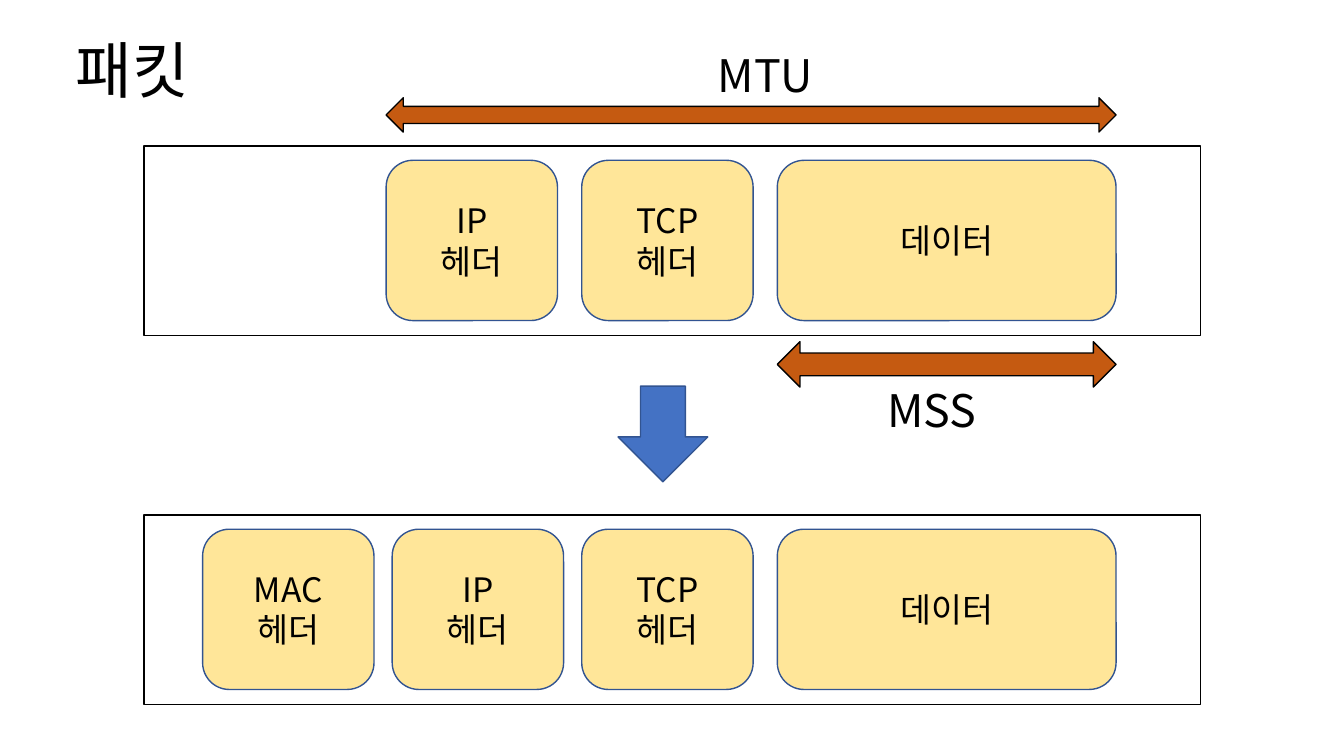
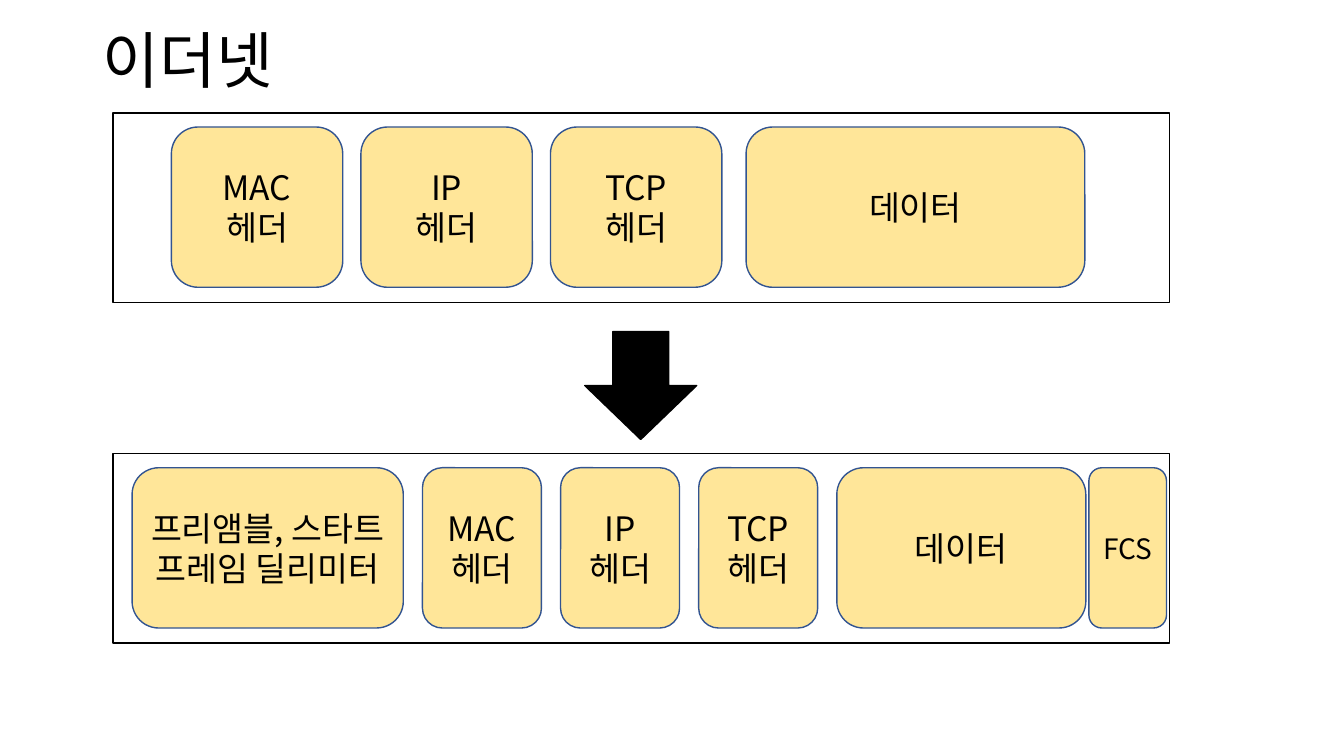
from lxml.etree import SubElement
from pptx import Presentation
from pptx.dml.color import RGBColor
from pptx.enum.shapes import MSO_SHAPE as Shape
from pptx.enum.text import MSO_ANCHOR as Anchor, MSO_AUTO_SIZE as AutoSize, PP_ALIGN as Align
from pptx.oxml.ns import qn
from pptx.util import Pt

PX = 9144
FONT = "Noto Sans CJK KR"
BLACK = RGBColor(0x00, 0x00, 0x00)
WHITE = RGBColor(0xFF, 0xFF, 0xFF)
SAND = RGBColor(0xFF, 0xE6, 0x99)
RUST = RGBColor(0xC5, 0x5A, 0x11)
BLUE = RGBColor(0x44, 0x72, 0xC4)
NAVY = RGBColor(0x32, 0x54, 0x91)

FRAME_SIZE = (1048, 188)
BLOCK_HEIGHT = 159
BLOCK_INSET = 14
HEADERS = ["MAC\n헤더", "IP\n헤더", "TCP\n헤더"]


def write(text_frame, text, size, align):
    text_frame.word_wrap = True
    for index, line in enumerate(text.split("\n")):
        para = text_frame.add_paragraph() if index else text_frame.paragraphs[0]
        para.alignment = align
        span = para.add_run()
        span.text = line
        span.font.size = Pt(size)
        span.font.color.rgb = BLACK
        span.font.name = FONT
        SubElement(span.font._element, qn("a:ea"), typeface=FONT)


def draw(page, kind, box, fill, line):
    shape = page.shapes.add_shape(kind, *[length * PX for length in box])
    shape.shadow.inherit = False
    shape.fill.solid()
    shape.fill.fore_color.rgb = fill
    shape.line.color.rgb = line
    shape.line.width = Pt(1)
    return shape


full_row = [(label, 58 + 188 * i, 170, 24) for i, label in enumerate(HEADERS)]
full_row.append(("데이터", 628, 336, 24))
packet_row = [("IP\n헤더", 240, 170, 24)] + full_row[2:]
ethernet_row = [("프리앰블, 스타트 프레임 딜리미터", 19, 269, 24)]
ethernet_row += [(label, 307 + 137 * i, 118, 24) for i, label in enumerate(HEADERS)]
ethernet_row += [("데이터", 718, 247, 24), ("FCS", 968, 77, 20)]

slides = [
    {
        "title": ("패킷", (65, 0, 1150, 145)),
        "frames": [(143, 145, packet_row), (143, 511, full_row)],
        "arrow": ((613, 383, 89, 95), BLUE, NAVY),
        "spans": [
            ("MTU", (383, 97, 724, 34), (702, 42, 138, 64)),
            ("MSS", (771, 339, 336, 45), (870, 375, 138, 64)),
        ],
    },
    {
        "title": ("이더넷", (92, 15, 1089, 97)),
        "frames": [(112, 112, full_row), (112, 450, ethernet_row)],
        "arrow": ((580, 329, 111, 107), BLACK, BLACK),
        "spans": [],
    },
]

deck = Presentation()
deck.slide_width = 1333 * PX
deck.slide_height = 750 * PX

for content in slides:
    page = deck.slides.add_slide(deck.slide_layouts[5])
    heading, box = content["title"]
    title = page.shapes.title
    title.left, title.top, title.width, title.height = [length * PX for length in box]
    title.text_frame.vertical_anchor = Anchor.MIDDLE
    write(title.text_frame, heading, 44, Align.LEFT)
    title.text_frame.paragraphs[0].line_spacing = 0.9

    for left, top, blocks in content["frames"]:
        draw(page, Shape.RECTANGLE, (left, top, *FRAME_SIZE), WHITE, BLACK)
        for label, offset, width, size in blocks:
            box = (left + offset, top + BLOCK_INSET, width, BLOCK_HEIGHT)
            block = draw(page, Shape.ROUNDED_RECTANGLE, box, SAND, NAVY)
            write(block.text_frame, label, size, Align.CENTER)

    for label, arrow_box, label_box in content["spans"]:
        draw(page, Shape.LEFT_RIGHT_ARROW, arrow_box, RUST, BLACK)
        caption = page.shapes.add_textbox(*[length * PX for length in label_box])
        caption.text_frame.auto_size = AutoSize.SHAPE_TO_FIT_TEXT
        write(caption.text_frame, label, 32, Align.LEFT)

    draw(page, Shape.DOWN_ARROW, *content["arrow"])

deck.save("out.pptx")
